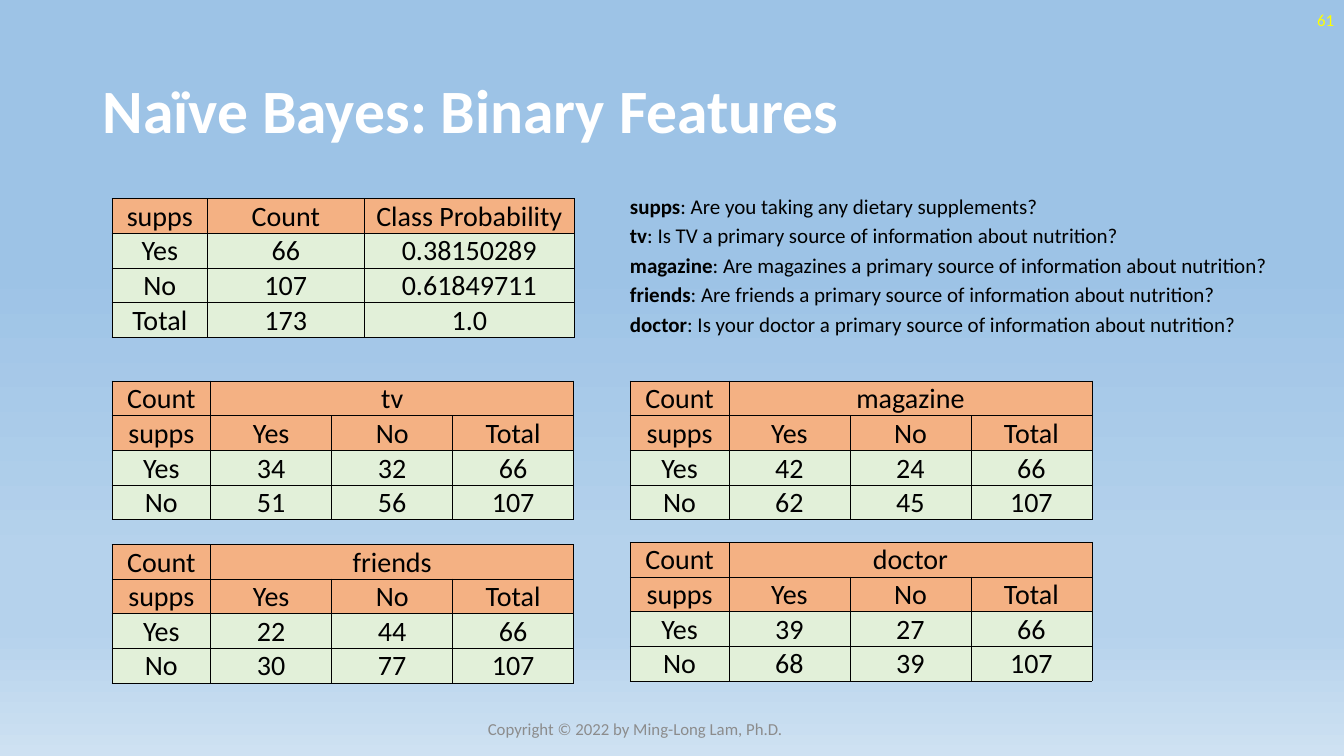
from dataclasses import dataclass

from lxml.etree import SubElement
from pptx import Presentation
from pptx.dml.color import RGBColor
from pptx.enum.text import MSO_ANCHOR, MSO_AUTO_SIZE, PP_ALIGN
from pptx.oxml.ns import qn
from pptx.slide import Slide
from pptx.table import _Cell
from pptx.text.text import TextFrame, _Paragraph
from pptx.util import Inches, Pt

FONT = "Calibri"
COLORS = {
    "title": "FFFFFF", "page": "FFFF00", "text": "000000", "foot": "8C8C8C",
    "head": "F4B183", "body": "E2F0D9", "line": "000000",
}
STOPS = [(35, "9DC3E6"), (74, "B5D2EC"), (83, "B5D2EC"), (100, "CEE1F2")]
SOURCE = "a primary source of information about nutrition?"
TERMS = [
    ("supps", "Are you taking any dietary supplements?"),
    ("tv", f"Is TV {SOURCE}"),
    ("magazine", f"Are magazines {SOURCE}"),
    ("friends", f"Are friends {SOURCE}"),
    ("doctor", f"Is your doctor {SOURCE}"),
]


@dataclass
class Label:
    text: str
    box: tuple[float, float, float, float]
    size: int
    color: str
    align: PP_ALIGN
    bold: bool = False
    pitch: float = 1.0


@dataclass
class Feature:
    """Yes and No counts of one feature, for each answer to supps."""
    name: str
    left: float
    top: float
    yes: tuple[int, int]
    no: tuple[int, int]


LABELS = [
    Label("Naïve Bayes: Binary Features", (0.92, 0.4, 11.5, 1.45), 44, "title",
          PP_ALIGN.LEFT, True, 0.9),
    Label("61", (10.33, 0, 3, 0.4), 12, "page", PP_ALIGN.RIGHT),
    Label("Copyright © 2022 by Ming-Long Lam, Ph.D.", (4.05, 7.03, 4.5, 0.4), 12,
          "foot", PP_ALIGN.CENTER),
]
FEATURES = [
    Feature("tv", 1.11, 3.78, (34, 32), (51, 56)),
    Feature("magazine", 6.25, 3.78, (42, 24), (62, 45)),
    Feature("friends", 1.11, 5.4, (22, 44), (30, 77)),
    Feature("doctor", 6.25, 5.38, (39, 27), (68, 39)),
]
CLASSES = [
    ["supps", "Count", "Class Probability"],
    ["Yes", "66", "0.38150289"],
    ["No", "107", "0.61849711"],
    ["Total", "173", "1.0"],
]


def add_run(para: _Paragraph, text: str, size: int, color: str, bold: bool = False) -> None:
    run = para.add_run()
    run.text = text
    run.font.name = FONT
    run.font.size = Pt(size)
    run.font.bold = bold
    run.font.color.rgb = RGBColor.from_string(COLORS[color])


def add_box(slide: Slide, box: tuple[float, float, float, float]) -> TextFrame:
    frame = slide.shapes.add_textbox(*map(Inches, box)).text_frame
    frame.word_wrap = True
    return frame


def add_label(slide: Slide, label: Label) -> None:
    frame = add_box(slide, label.box)
    frame.vertical_anchor = MSO_ANCHOR.MIDDLE
    para = frame.paragraphs[0]
    para.alignment = label.align
    para.line_spacing = label.pitch
    add_run(para, label.text, label.size, label.color, label.bold)


def add_terms(slide: Slide) -> None:
    frame = add_box(slide, (6.15, 1.87, 6.57, 1.53))
    frame.auto_size = MSO_AUTO_SIZE.SHAPE_TO_FIT_TEXT
    for i, (name, quest) in enumerate(TERMS):
        para = frame.add_paragraph() if i else frame.paragraphs[0]
        para.space_after = Pt(3)
        add_run(para, name, 15, "text", True)
        add_run(para, f": {quest}", 15, "text")


def add_stops(parent, color: str) -> None:
    SubElement(parent, qn("a:srgbClr"), val=color)


def style_cell(cell: _Cell, text: str, fill: str) -> None:
    cell.margin_left = cell.margin_top = cell.margin_right = Inches(0.01)
    cell.margin_bottom = 0
    cell.vertical_anchor = MSO_ANCHOR.MIDDLE
    props = cell._tc.get_or_add_tcPr()
    for side in ("lnL", "lnR", "lnT", "lnB"):
        line = SubElement(props, qn(f"a:{side}"), w=str(Pt(0.5)))
        add_stops(SubElement(line, qn("a:solidFill")), COLORS["line"])
    cell.fill.solid()
    cell.fill.fore_color.rgb = RGBColor.from_string(COLORS[fill])
    para = cell.text_frame.paragraphs[0]
    para.alignment = PP_ALIGN.CENTER
    if text:
        add_run(para, text, 20, "text")


def add_grid(slide: Slide, left: float, top: float, widths: list[float],
             rows: list[list[str]], heads: int) -> None:
    """Draw a table whose empty cells join the cell to their left."""
    frame = slide.shapes.add_table(len(rows), len(widths), Inches(left), Inches(top),
                                   Inches(sum(widths)), Inches(1.38))
    table = frame.table
    table.first_row = table.horz_banding = False
    for col, width in zip(table.columns, widths):
        col.width = Inches(width)
    for r, row in enumerate(rows):
        table.rows[r].height = Inches(0.21)
        for c, text in enumerate(row):
            style_cell(table.cell(r, c), text, "head" if r < heads else "body")
        if "" in row:
            table.cell(r, row.index("") - 1).merge(table.cell(r, len(row) - 1))
    frame.height = Inches(1.38)


def add_feature(slide: Slide, feat: Feature) -> None:
    rows = [["Count", feat.name, "", ""], ["supps", "Yes", "No", "Total"]]
    for name, pair in (("Yes", feat.yes), ("No", feat.no)):
        rows.append([name, *map(str, (*pair, sum(pair)))])
    add_grid(slide, feat.left, feat.top, [0.98, 1.2, 1.2, 1.2], rows, 2)


def paint_back(slide: Slide) -> None:
    fill = slide.background.fill
    fill.gradient()
    fill.gradient_angle = 270
    stops = next(slide._element.iter(qn("a:gsLst")))
    for old in list(stops):
        stops.remove(old)
    for place, color in STOPS:
        add_stops(SubElement(stops, qn("a:gs"), pos=str(place * 1000)), color)


def main() -> None:
    deck = Presentation()
    deck.slide_width, deck.slide_height = Inches(13.33), Inches(7.5)
    slide = deck.slides.add_slide(deck.slide_layouts[6])
    paint_back(slide)
    for label in LABELS:
        add_label(slide, label)
    add_grid(slide, 1.11, 1.97, [0.95, 1.55, 2.09], CLASSES, 1)
    for feat in FEATURES:
        add_feature(slide, feat)
    add_terms(slide)
    deck.save("out.pptx")


if __name__ == "__main__":
    main()
